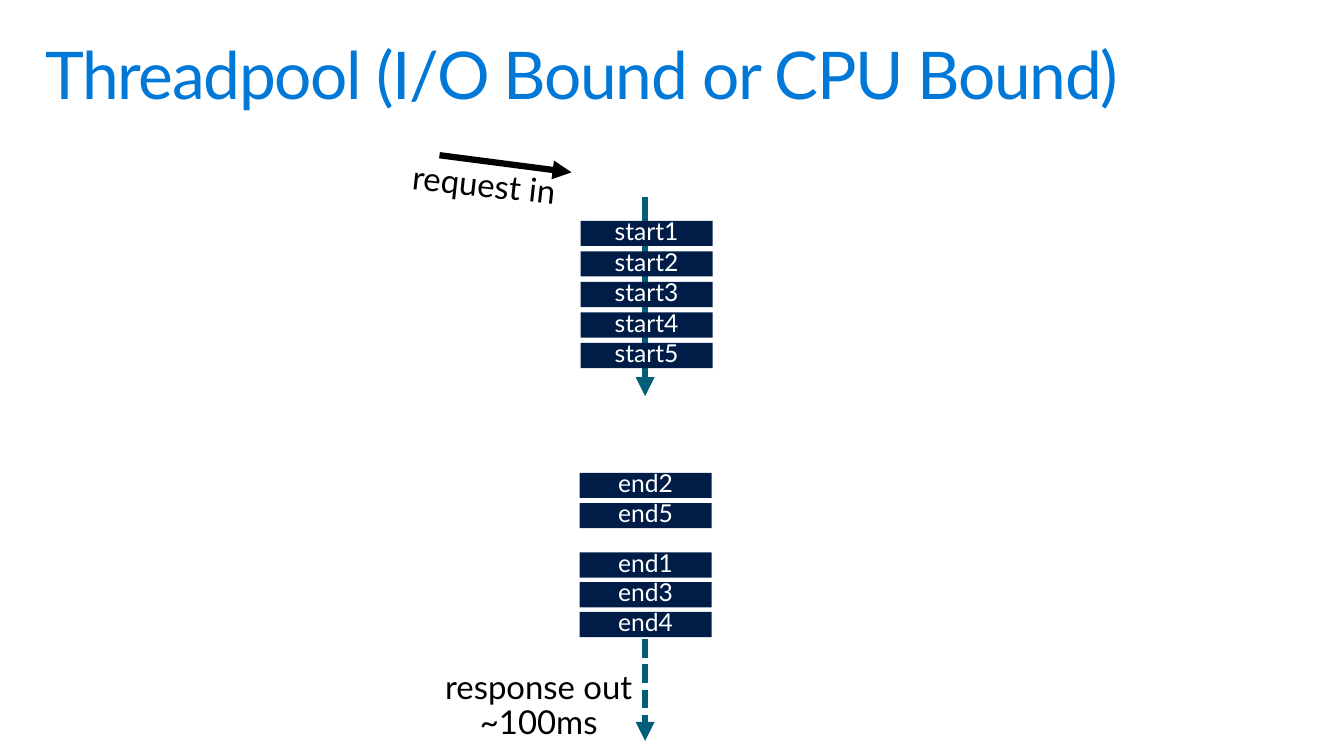
"""Build the threadpool slide: work starts, work ends, request and response."""
from dataclasses import dataclass

import pptx
import pptx.dml.color
import pptx.enum.dml
import pptx.enum.shapes
import pptx.enum.text
import pptx.oxml.ns
import pptx.util
from lxml import etree

COLUMNS, ROWS = 133.33, 75
CELL = pptx.util.Inches(0.1)
FONT = "Lato"
BLUE, NAVY, TEAL, BLACK, WHITE = "0078D7", "001D48", "005E79", "000000", "FFFFFF"
BAR_WIDTH, BAR_HEIGHT = 13.1, 2.5
CENTER = pptx.enum.text.PP_ALIGN.CENTER


@dataclass
class Stack:
    """Bars placed one under another."""
    column: float
    row: float
    pitch: float
    labels: tuple[str, ...]


@dataclass
class Arrow:
    """Straight arrow between two grid points."""
    start: tuple[float, float]
    end: tuple[float, float]
    color: str
    dotted: bool = False


@dataclass
class Caption:
    """Centred text beside an arrow."""
    text: str
    column: float
    row: float
    width: float
    height: float
    rotation: float = 0


STACKS = (
    Stack(57.6, 21.9, 3.03, ("start1", "start2", "start3", "start4", "start5")),
    Stack(57.5, 46.9, 3, ("end2", "end5")),
    Stack(57.5, 54.8, 2.95, ("end1", "end3", "end4")),
)
ARROWS = (
    Arrow((64, 19.5), (64, 39.3), TEAL),
    Arrow((43.6, 15.4), (56.7, 17.1), BLACK),
    Arrow((64, 63.4), (64, 73.5), TEAL, dotted=True),
)
CAPTIONS = (
    Caption("request in", 40.5, 16.7, 15, 3.6, 6.3),
    Caption("response out\n~100ms", 43.6, 66.8, 19.7, 6.6),
)


def grid(*cells: float) -> list[int]:
    """Convert grid cells to lengths."""
    return [round(cell * CELL) for cell in cells]


def rgb(color: str) -> pptx.dml.color.RGBColor:
    """Convert a hex string to a colour."""
    return pptx.dml.color.RGBColor.from_string(color)


def write(box, text: str, size: float, color: str, spacing: float,
          align=CENTER, after: float = 5.9):
    """Write one paragraph and return it."""
    para = box.text_frame.paragraphs[0]
    para.text = text
    para.alignment = align
    para.line_spacing = spacing
    para.space_after = pptx.util.Pt(after)
    para.font.name = FONT
    para.font.size = pptx.util.Pt(size)
    para.font.color.rgb = rgb(color)
    return para


def set_frame(box, anchor, wrap: bool, side: float = 0, top: float = 0) -> None:
    """Set the anchor, wrapping and insets of a text frame."""
    frame = box.text_frame
    frame.auto_size = pptx.enum.text.MSO_AUTO_SIZE.NONE
    frame.vertical_anchor = anchor
    frame.word_wrap = wrap
    frame.margin_left, frame.margin_right, frame.margin_top, frame.margin_bottom = grid(
        side, side, top, top)


def draw_title(page, text: str) -> None:
    """Fill the title placeholder."""
    title = page.shapes.title
    title.left, title.top, title.width, title.height = grid(2.9, 3.2, 127.5, 9.8)
    set_frame(title, pptx.enum.text.MSO_ANCHOR.TOP, True, 1.6, 1)
    para = write(title, text, 47, BLUE, 0.9, pptx.enum.text.PP_ALIGN.LEFT, 0)
    for span in para.runs:
        span.font.size = pptx.util.Pt(47)
        span._r.get_or_add_rPr().set("spc", "-100")


def draw_arrow(page, arrow: Arrow) -> None:
    """Draw an arrow with a triangular head."""
    line = page.shapes.add_connector(
        pptx.enum.shapes.MSO_CONNECTOR.STRAIGHT, *grid(*arrow.start, *arrow.end))
    line.line.color.rgb = rgb(arrow.color)
    line.line.width = pptx.util.Pt(4.5)
    if arrow.dotted:
        line.line.dash_style = pptx.enum.dml.MSO_LINE.SQUARE_DOT
    head = etree.SubElement(line.line._get_or_add_ln(), pptx.oxml.ns.qn("a:tailEnd"))
    head.set("type", "triangle")
    etree.SubElement(line._element.spPr, pptx.oxml.ns.qn("a:effectLst"))


def draw_stack(page, stack: Stack) -> None:
    """Draw the labelled bars of a stack."""
    for index, label in enumerate(stack.labels):
        bar = page.shapes.add_shape(
            pptx.enum.shapes.MSO_SHAPE.RECTANGLE,
            *grid(stack.column, stack.row + index * stack.pitch, BAR_WIDTH, BAR_HEIGHT))
        bar.shadow.inherit = False
        bar.fill.solid()
        bar.fill.fore_color.rgb = rgb(NAVY)
        bar.line.fill.background()
        set_frame(bar, pptx.enum.text.MSO_ANCHOR.MIDDLE, False)
        write(bar, label, 17.6, WHITE, 0.8)


def draw_caption(page, caption: Caption) -> None:
    """Draw a caption."""
    box = page.shapes.add_textbox(
        *grid(caption.column, caption.row, caption.width, caption.height))
    box.rotation = caption.rotation
    set_frame(box, pptx.enum.text.MSO_ANCHOR.MIDDLE, False)
    write(box, caption.text, 23.5, BLACK, 0.9)


def main() -> None:
    """Build and save the deck."""
    deck = pptx.Presentation()
    deck.slide_width, deck.slide_height = grid(COLUMNS, ROWS)
    page = deck.slides.add_slide(deck.slide_layouts.get_by_name("Title Only"))
    draw_title(page, "Threadpool (I/O Bound or CPU Bound)")
    for arrow in ARROWS:
        draw_arrow(page, arrow)
    for stack in STACKS:
        draw_stack(page, stack)
    for caption in CAPTIONS:
        draw_caption(page, caption)
    deck.save("out.pptx")


if __name__ == "__main__":
    main()
